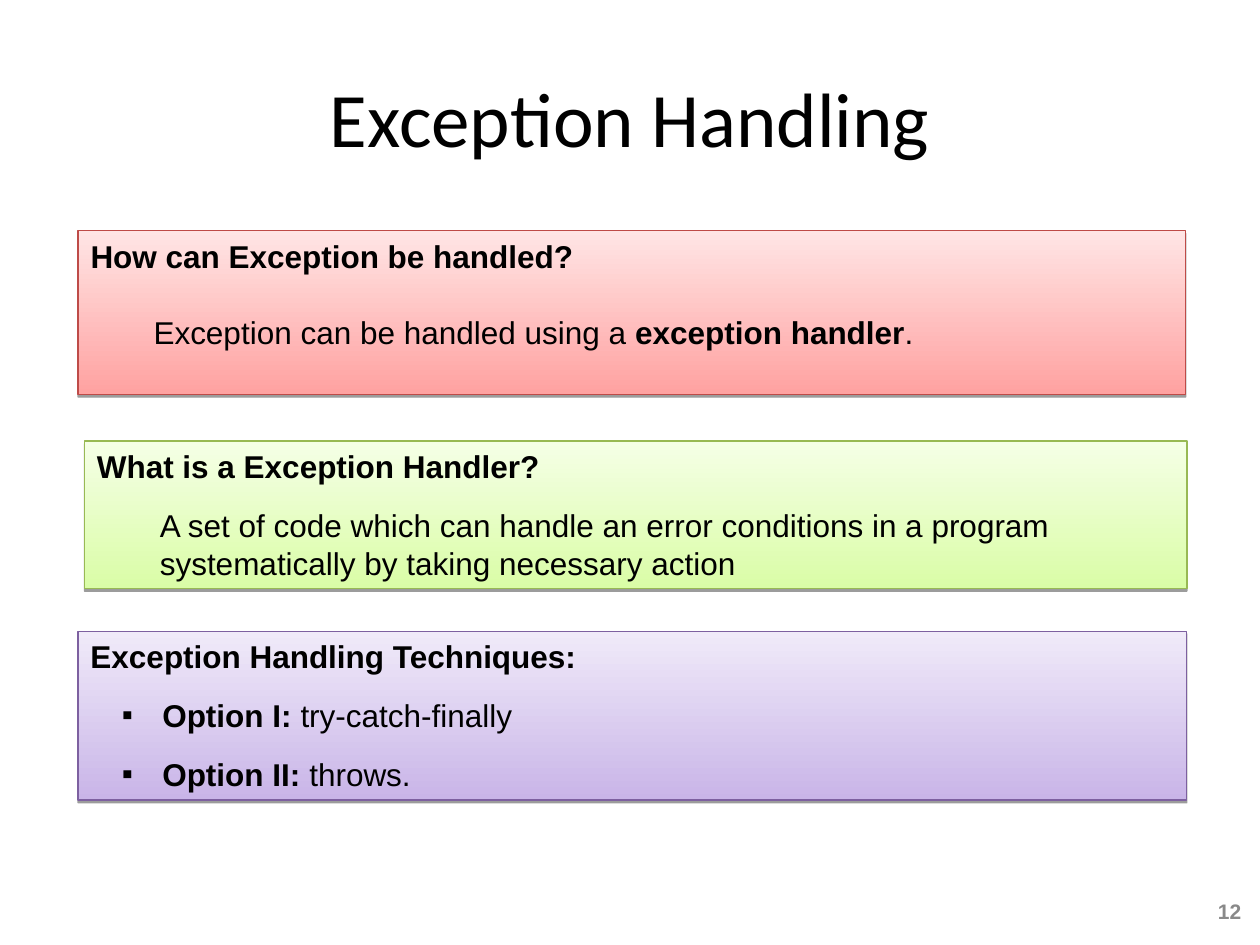
from lxml import etree
from pptx import Presentation
from pptx.dml.color import RGBColor
from pptx.enum.shapes import MSO_SHAPE
from pptx.enum.text import MSO_ANCHOR, PP_ALIGN
from pptx.oxml import parse_xml
from pptx.oxml.ns import qn
from pptx.util import Inches, Pt

RECTANGLE = MSO_SHAPE.RECTANGLE
TOP, MIDDLE = MSO_ANCHOR.TOP, MSO_ANCHOR.MIDDLE
LEFT, CENTER, RIGHT = PP_ALIGN.LEFT, PP_ALIGN.CENTER, PP_ALIGN.RIGHT

SHADOW = (
    '<a:outerShdw xmlns:a="http://schemas.openxmlformats.org/drawingml/2006/main"'
    ' blurRad="0" dist="20000" dir="5400000" rotWithShape="0">'
    '<a:srgbClr val="000000"><a:alpha val="38000"/></a:srgbClr></a:outerShdw>'
)


def color(value):
    return RGBColor.from_string(value)


def add_runs(paragraph, runs, size=18, font="Arial", ink="000000"):
    """Add (text, bold) pairs as formatted runs."""
    for text, bold in runs:
        run = paragraph.add_run()
        run.text = text
        run.font.name = font
        run.font.size = Pt(size)
        run.font.bold = bold
        run.font.color.rgb = color(ink)


prs = Presentation()
prs.slide_width, prs.slide_height = Inches(10), Inches(7.5)
slide = prs.slides.add_slide(prs.slide_layouts[6])

# Title and page number: left, top, width, height, text, bold, align, size, font, ink
labels = [
    (0.5, 0.3, 9, 1.25, "Exception Handling", False, CENTER, 44, "Calibri", "000000"),
    (9.46, 7.06, 0.49, 0.35, "12", True, RIGHT, 12, "Arial", "898989"),
]
for left, top, width, height, text, bold, align, size, font, ink in labels:
    frame = slide.shapes.add_textbox(
        Inches(left), Inches(top), Inches(width), Inches(height)).text_frame
    frame.word_wrap = True
    frame.vertical_anchor = MIDDLE
    frame.paragraphs[0].alignment = align
    add_runs(frame.paragraphs[0], [(text, bold)], size, font, ink)

# Panels: left, top, width, height, bottom fill, top fill, border,
# heading, space before details (pt), bulleted, details
panels = [
    (0.62, 1.83, 8.79, 1.3, "FFA2A1", "FFE5E5", "BE4B48",
     "How can Exception be handled?", 22, False,
     [[("Exception can be handled using a ", False),
       ("exception handler", True), (".", False)]]),
    (0.67, 3.5, 8.75, 1.17, "DAFDA7", "F5FFE6", "98B954",
     "What is a Exception Handler?", 12, False,
     [[("A set of code which can handle an error conditions in a program "
        "systematically by taking necessary action", False)]]),
    (0.62, 5.01, 8.8, 1.34, "C9B5E8", "F0EAF9", "7D60A0",
     "Exception Handling Techniques:", 12, True,
     [[("Option I: ", True), ("try-catch-finally", False)],
      [("Option II: ", True), ("throws.", False)]]),
]
for (left, top, width, height, bottom_fill, top_fill, border,
     heading, gap, bulleted, details) in panels:
    panel = slide.shapes.add_shape(
        RECTANGLE, Inches(left), Inches(top), Inches(width), Inches(height))
    panel.fill.gradient()
    panel.fill.gradient_angle = 90
    for stop, shade in zip(panel.fill.gradient_stops, (bottom_fill, top_fill)):
        stop.color.rgb = color(shade)
    panel.line.color.rgb = color(border)
    panel.line.width = Pt(0.75)
    panel.shadow.inherit = False
    panel._element.spPr.find(qn("a:effectLst")).append(parse_xml(SHADOW))

    frame = panel.text_frame
    frame.word_wrap = True
    frame.vertical_anchor = TOP
    frame.paragraphs[0].alignment = LEFT
    add_runs(frame.paragraphs[0], [(heading, True)])
    for runs in details:
        detail = frame.add_paragraph()
        detail.alignment = LEFT
        detail.level = 1
        detail.space_before = Pt(gap)
        properties = detail._p.get_or_add_pPr()
        properties.set("marL", str(Inches(0.57 if bulleted else 0.5)))
        properties.set("indent", str(Inches(-0.32 if bulleted else 0)))
        if bulleted:
            etree.SubElement(properties, qn("a:buFont")).set("typeface", "Arial")
            etree.SubElement(properties, qn("a:buChar")).set("char", "▪")
        add_runs(detail, runs)

prs.save("out.pptx")
